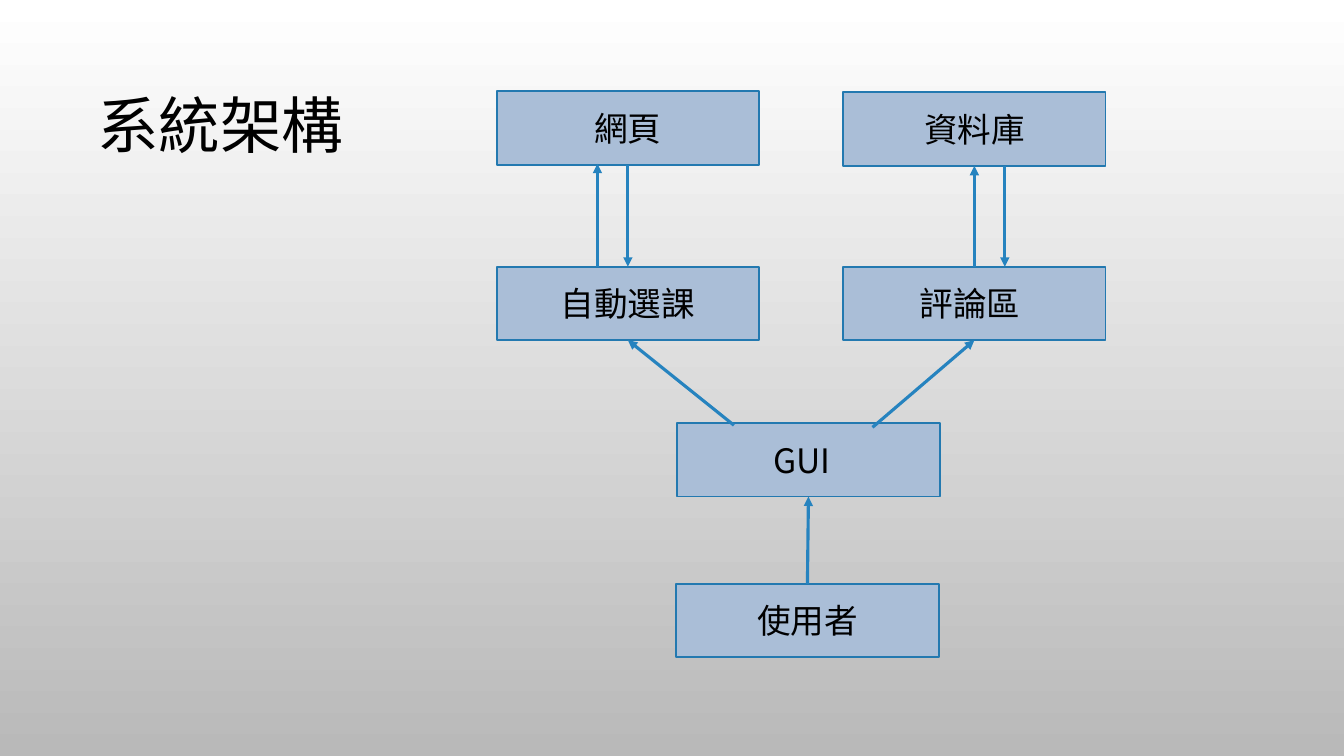
from lxml.etree import SubElement
from pptx import Presentation
from pptx.dml.color import RGBColor
from pptx.enum.shapes import MSO_CONNECTOR, MSO_SHAPE
from pptx.enum.text import MSO_ANCHOR, PP_ALIGN
from pptx.oxml.ns import qn
from pptx.util import Pt

PX = 9525  # EMU per px, 96 px to the inch
FONT = "Noto Sans CJK SC"
BLACK = RGBColor(0x00, 0x00, 0x00)
WHITE = RGBColor(0xFF, 0xFF, 0xFF)
GREY = RGBColor(0xB9, 0xB9, 0xB9)
BOX_FILL = RGBColor(0xAA, 0xBE, 0xD7)
BOX_LINE = RGBColor(0x23, 0x79, 0xB0)
ARROW = RGBColor(0x26, 0x83, 0xBF)
TOP, BOTTOM = 0, 2
BOX_W, BOX_H = 250, 70


def write_text(tf, text, size=24, color=BLACK, align=PP_ALIGN.CENTER, spacing=None):
    tf.word_wrap = True
    tf.vertical_anchor = MSO_ANCHOR.MIDDLE
    p = tf.paragraphs[0]
    p.alignment = align
    p.line_spacing = spacing
    r = p.add_run()
    r.text = text
    r.font.size = Pt(size)
    r.font.name = FONT
    r.font.color.rgb = color
    SubElement(r.font._element, qn("a:ea"), typeface=FONT)


class Diagram:
    def __init__(self, slide):
        self.slide = slide
        self.shapes = slide.shapes

    def background(self, top, bottom):
        fill = self.slide.background.fill
        fill.gradient()
        fill.gradient_angle = 270
        for stop, color, position in zip(fill.gradient_stops, (top, bottom), (0, 1)):
            stop.color.rgb = color
            stop.position = position

    def title(self, text, x, y, w, h):
        sp = self.shapes.add_textbox(x * PX, y * PX, w * PX, h * PX)
        write_text(sp.text_frame, text, size=44, spacing=0.9)

    def box(self, text, x, y, shift=0):
        """Add a labelled box; shift moves its label left by that many px."""
        sp = self.shapes.add_shape(MSO_SHAPE.RECTANGLE, x * PX, y * PX, BOX_W * PX, BOX_H * PX)
        sp.shadow.inherit = False
        sp.fill.solid()
        sp.fill.fore_color.rgb = BOX_FILL
        sp.line.color.rgb = BOX_LINE
        sp.line.width = Pt(1.25)
        sp.text_frame.margin_right += 2 * shift * PX
        write_text(sp.text_frame, text)
        return sp

    def arrow(self, start, end):
        """Draw an arrow; each end is an (x, y) point or a (box, side) pair."""
        cxn = self.shapes.add_connector(MSO_CONNECTOR.STRAIGHT, 0, 0, 0, 0)
        if isinstance(start[0], int):
            cxn.begin_x, cxn.begin_y = (v * PX for v in start)
        else:
            cxn.begin_connect(*start)
        if isinstance(end[0], int):
            cxn.end_x, cxn.end_y = (v * PX for v in end)
        else:
            cxn.end_connect(*end)
        cxn.line.color.rgb = ARROW
        cxn.line.width = Pt(2.25)
        SubElement(cxn.line._get_or_add_ln(), qn("a:tailEnd"), type="triangle")
        SubElement(cxn._element.spPr, qn("a:effectLst"))


def main():
    prs = Presentation()
    prs.slide_width, prs.slide_height = 1280 * PX, 720 * PX
    d = Diagram(prs.slides.add_slide(prs.slide_layouts[6]))
    d.background(WHITE, GREY)
    d.title("系統架構", -52, 53, 524, 139)

    web = d.box("網頁", 473, 87)
    database = d.box("資料庫", 803, 88)
    selection = d.box("自動選課", 473, 254)
    reviews = d.box("評論區", 803, 254, shift=4)
    gui = d.box("GUI", 645, 403, shift=6)
    user = d.box("使用者", 644, 556)

    d.arrow((user, TOP), (gui, BOTTOM))
    d.arrow((699, 405), (selection, BOTTOM))
    d.arrow((831, 407), (reviews, BOTTOM))
    d.arrow((569, 254), (569, 156))
    d.arrow((web, BOTTOM), (selection, TOP))
    d.arrow((reviews, TOP), (database, BOTTOM))
    d.arrow((957, 158), (957, 254))
    prs.save("out.pptx")


if __name__ == "__main__":
    main()
